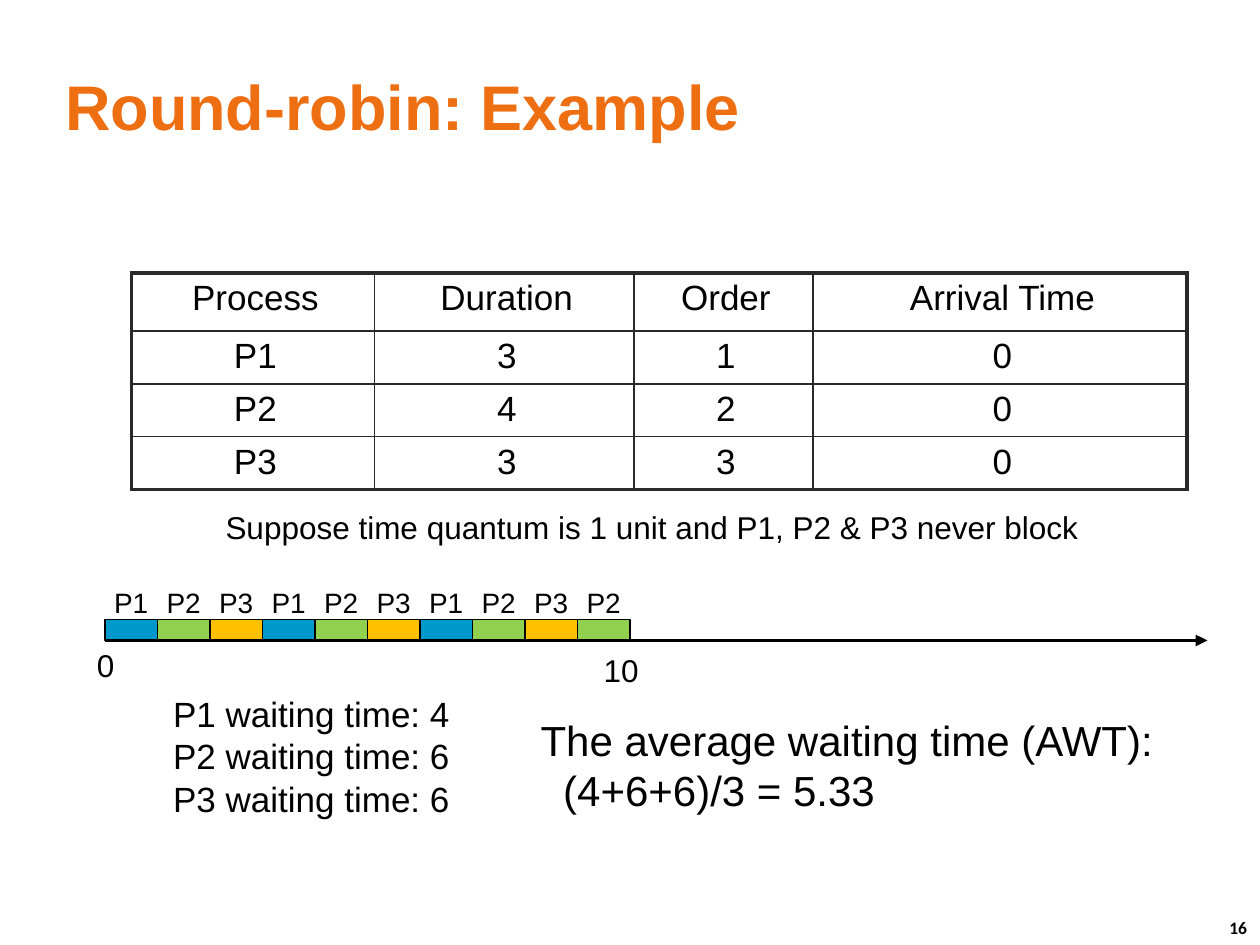
from dataclasses import dataclass

from lxml.etree import SubElement
from pptx import Presentation
from pptx.dml.color import RGBColor
from pptx.enum.shapes import MSO_CONNECTOR, MSO_SHAPE
from pptx.enum.text import MSO_ANCHOR, MSO_AUTO_SIZE, PP_ALIGN
from pptx.oxml.ns import qn
from pptx.util import Inches, Pt

UNIT = 5 / 12  # the slide is 24 units wide and 18 units high
COLUMNS, ROWS = 24, 18


@dataclass(frozen=True)
class Theme:
    title_color: str = "EE6E12"
    ink: str = "000000"
    rule: str = "292929"
    process_colors: tuple = (("P1", "0099CC"), ("P2", "92D050"), ("P3", "FFC000"))
    body_font: str = "Arial"
    number_font: str = "Calibri"
    title_size: int = 36
    result_size: int = 24
    body_size: int = 20
    note_size: int = 18
    label_size: int = 16
    number_size: int = 10
    thin: float = 1
    thick: float = 2.25
    bar_line: float = 0.75


def grid(units):
    return Inches(units * UNIT)


def set_all(target, values):
    for name, value in values.items():
        setattr(target, name, value)


class SlideBuilder:
    def __init__(self, deck, theme):
        self.theme = theme
        self.slide = deck.slides.add_slide(deck.slide_layouts[5])

    def style(self, paragraph, size, color=None, font=None, bold=False,
              align=PP_ALIGN.LEFT, inset=0.04, hanging=0):
        properties = paragraph._p.get_or_add_pPr()
        properties.set("marL", str(Inches(inset + hanging)))
        properties.set("indent", str(Inches(-hanging)))
        paragraph.alignment = align
        set_all(paragraph.font, {"name": font or self.theme.body_font,
                                 "size": Pt(size), "bold": bold})
        paragraph.font.color.rgb = RGBColor.from_string(color or self.theme.ink)

    def title(self, text, left, top, width, height):
        heading = self.slide.shapes.title
        set_all(heading, {"left": grid(left), "top": grid(top),
                          "width": grid(width), "height": grid(height)})
        frame = heading.text_frame
        frame.text = text
        set_all(frame, {"vertical_anchor": MSO_ANCHOR.MIDDLE, "word_wrap": True,
                        "auto_size": MSO_AUTO_SIZE.NONE,
                        "margin_left": Inches(0.1), "margin_right": Inches(0.14),
                        "margin_top": Inches(0.05), "margin_bottom": Inches(0.05)})
        self.style(frame.paragraphs[0], self.theme.title_size,
                   self.theme.title_color, bold=True, inset=0)

    def text(self, text, left, top, width, height, size, wrap=False,
             margins=(0, 0, 0.04, 0), **paragraph_style):
        box = self.slide.shapes.add_textbox(*map(grid, (left, top, width, height)))
        frame = box.text_frame
        sides = ("margin_left", "margin_top", "margin_right", "margin_bottom")
        set_all(frame, dict(zip(sides, map(Inches, margins))))
        set_all(frame, {"word_wrap": wrap,
                        "auto_size": MSO_AUTO_SIZE.SHAPE_TO_FIT_TEXT})
        frame.text = text
        for paragraph in frame.paragraphs:
            self.style(paragraph, size, **paragraph_style)
        return box

    def time_slot(self, process, column):
        """Draw one quantum of a process: a bar with its name above."""
        bar = self.slide.shapes.add_shape(
            MSO_SHAPE.RECTANGLE, *map(grid, (column, 11.8, 1, 0.4)))
        bar.shadow.inherit = False
        bar.fill.solid()
        bar.fill.fore_color.rgb = RGBColor.from_string(
            dict(self.theme.process_colors)[process])
        bar.line.color.rgb = RGBColor.from_string(self.theme.ink)
        bar.line.width = Pt(self.theme.bar_line)
        label = self.text(process, column, 11.16, 1, 0.64, self.theme.label_size,
                          wrap=True, align=PP_ALIGN.CENTER)
        self.slide.shapes.add_group_shape([bar, label])

    def arrow(self, start, end, level):
        axis = self.slide.shapes.add_connector(
            MSO_CONNECTOR.STRAIGHT, *map(grid, (start, level, end, level)))
        axis.line.color.rgb = RGBColor.from_string(self.theme.ink)
        axis.line.width = Pt(self.theme.thick)
        SubElement(axis.line._get_or_add_ln(), qn("a:tailEnd"), type="triangle")
        SubElement(axis._element.spPr, qn("a:effectLst"))

    def borders(self, cell, outer_sides):
        properties = cell._tc.get_or_add_tcPr()
        for side in "LRTB":
            weight = self.theme.thick if side in outer_sides else self.theme.thin
            edge = SubElement(properties, qn(f"a:ln{side}"), w=str(Pt(weight)))
            fill = SubElement(edge, qn("a:solidFill"))
            SubElement(fill, qn("a:srgbClr"), val=self.theme.rule)

    def table(self, records, left, top, widths, heights):
        last_row, last_column = len(heights) - 1, len(widths) - 1
        table = self.slide.shapes.add_table(
            len(heights), len(widths), grid(left), grid(top),
            Inches(sum(widths)), Inches(sum(heights))).table
        set_all(table, {"first_row": False, "horz_banding": False})
        for column, width in zip(table.columns, widths):
            column.width = Inches(width)
        for row, height in zip(table.rows, heights):
            row.height = Inches(height)
        for r, record in enumerate(records):
            for c, value in enumerate(record):
                cell = table.cell(r, c)
                cell.text = value
                set_all(cell, {"margin_left": Inches(0.06), "margin_right": Inches(0.06),
                               "margin_top": Inches(0.05), "margin_bottom": Inches(0.05)})
                self.style(cell.text_frame.paragraphs[0], self.theme.body_size,
                           align=PP_ALIGN.CENTER)
                at_edge = {"L": c == 0, "R": c == last_column,
                           "T": r == 0, "B": r == last_row}
                self.borders(cell, [side for side, outer in at_edge.items() if outer])
                cell.fill.background()


def main():
    deck = Presentation()
    set_all(deck, {"slide_width": grid(COLUMNS), "slide_height": grid(ROWS)})
    theme = Theme()
    page = SlideBuilder(deck, theme)

    page.title("Round-robin: Example", 1, 1, 22, 2)
    page.table([("Process", "Duration", "Order", "Arrival Time"),
                ("P1", "3", "1", "0"),
                ("P2", "4", "2", "0"),
                ("P3", "3", "3", "0")],
               2.5, 5.2, (1.93, 2.06, 1.42, 2.97), (0.46, 0.42, 0.42, 0.42))
    page.text("Suppose time quantum is 1 unit and P1, P2 & P3 never block",
              4.2, 9.67, 16.6, 0.72, theme.note_size)

    schedule = ("P1", "P2", "P3") * 3 + ("P2",)
    for column, process in enumerate(schedule, start=2):
        page.time_slot(process, column)
    page.arrow(2, 23, 12.2)
    page.text("0", 1.75, 12.3, 0.75, 0.94, theme.note_size)
    page.text("10", 11.4, 12.4, 1.08, 0.94, theme.note_size)

    waiting_times = {"P1": 4, "P2": 6, "P3": 6}
    page.text("\n".join(f"{process} waiting time: {time}"
                        for process, time in waiting_times.items()),
              3.2, 13.2, 5.86, 2.54, theme.body_size)
    page.text("The average waiting time (AWT):\v(4+6+6)/3 = 5.33",
              10.2, 13.6, 12.74, 2.11, theme.result_size, hanging=0.18)
    page.text("16", 23.18, 17.35, 0.89, 0.65, theme.number_size, inset=0,
              margins=(0.1, 0.05, 0.1, 0.05), font=theme.number_font, bold=True)

    deck.save("out.pptx")


if __name__ == "__main__":
    main()
